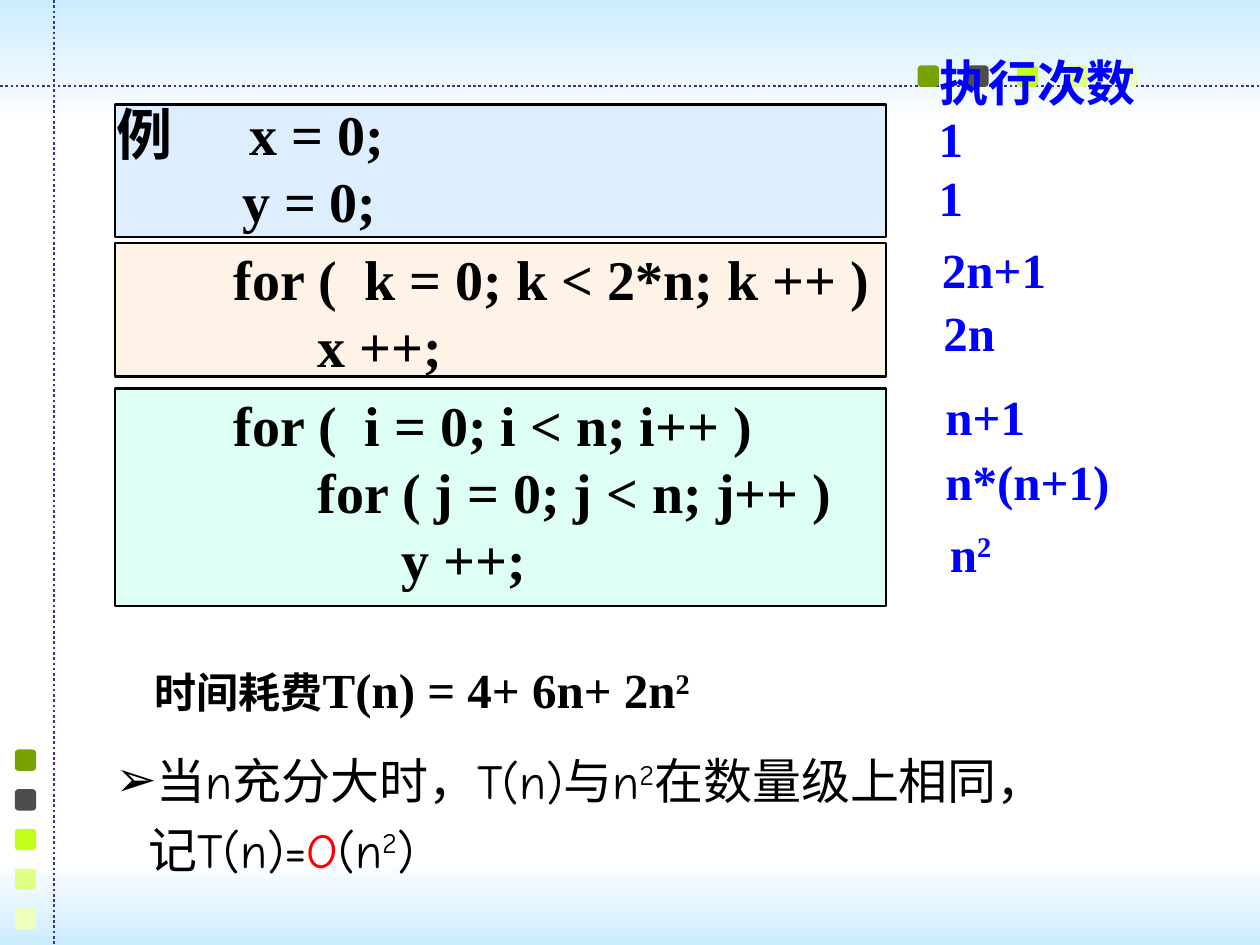
from lxml.etree import SubElement
from pptx import Presentation
from pptx.dml.color import RGBColor
from pptx.enum.dml import MSO_LINE
from pptx.enum.shapes import MSO_CONNECTOR, MSO_SHAPE
from pptx.enum.text import MSO_AUTO_SIZE, PP_ALIGN
from pptx.oxml.ns import qn
from pptx.util import Cm, Pt

WIDTH, HEIGHT = 25.4, 19.05
COLORS = {
    "sky": "CCECFF", "white": "FFFFFF", "guide": "333399", "black": "000000",
    "count": "0000FF", "order": "FF0000",
    "assign": "DDEEFF", "loop": "FFF3E7", "nested": "DDFFF6",
}
SQUARES = ["78A200", "4D4D4D", "C3FF1B", "E0FF87", "EEFFBD"]
CODE = {"size": Pt(32), "name": "Times New Roman", "bold": True, "color": "black"}
COUNT = CODE | {"size": Pt(28), "color": "count"}
COST = COUNT | {"color": "black"}
NOTE = {"size": Pt(28), "name": "Comic Neue", "bold": False, "color": "black"}
SQUARED = ("2", {"superscript": True})


def rgb(name):
    return RGBColor.from_string(COLORS.get(name, name))


def add_block(slide, kind, box, color):
    shape = slide.shapes.add_shape(kind, *map(Cm, box))
    shape.shadow.inherit = False
    shape.fill.solid()
    shape.fill.fore_color.rgb = rgb(color)
    shape.line.fill.background()
    return shape


def format_font(run, values):
    for key, value in values.items():
        if key == "color":
            run.font.color.rgb = rgb(value)
        elif key == "superscript":
            run._r.get_or_add_rPr().set("baseline", "30000")
        else:
            setattr(run.font, key, value)


def add_text(slide, box, paragraphs, style, wrap=False):
    """Each paragraph is a list of (text, changes to the style) pairs."""
    text_frame = slide.shapes.add_textbox(*map(Cm, box)).text_frame
    text_frame.word_wrap = wrap
    text_frame.auto_size = MSO_AUTO_SIZE.SHAPE_TO_FIT_TEXT
    for index, runs in enumerate(paragraphs):
        paragraph = text_frame.add_paragraph() if index else text_frame.paragraphs[0]
        paragraph.alignment = PP_ALIGN.LEFT
        for text, changes in runs:
            run = paragraph.add_run()
            run.text = text
            format_font(run, style | changes)
    return text_frame.paragraphs


def add_band(slide, box, top_color, bottom_color):
    shape = add_block(slide, MSO_SHAPE.RECTANGLE, box, "white")
    shape.fill.gradient()
    shape.fill.gradient_angle = 270
    for stop, color in zip(shape.fill.gradient_stops, (top_color, bottom_color)):
        stop.color.rgb = rgb(color)


def add_guide(slide, start, end):
    line = slide.shapes.add_connector(MSO_CONNECTOR.STRAIGHT, *map(Cm, start + end))
    line.line.color.rgb = rgb("guide")
    line.line.width = Pt(1.5)
    line.line.dash_style = MSO_LINE.ROUND_DOT
    SubElement(line._element.spPr, qn("a:effectLst"))


def add_squares(slide, left, top, step_x, step_y):
    for index, color in enumerate(SQUARES):
        box = (left + index * step_x, top + index * step_y, 0.43, 0.43)
        add_block(slide, MSO_SHAPE.ROUNDED_RECTANGLE, box, color)


def add_background(slide):
    add_band(slide, (0, 0, WIDTH, 2.51), "sky", "white")
    add_band(slide, (0, 17.32, WIDTH, 1.73), "white", "sky")
    add_guide(slide, (0, 1.73), (WIDTH, 1.73))
    add_squares(slide, 18.5, 1.32, 1, 0)
    add_squares(slide, 0.3, 15.11, 0, 0.8)
    add_guide(slide, (1.09, 0), (1.09, HEIGHT))


def add_code_panel(slide, box, color, lines, text_box):
    """text_box holds offsets from the panel's corner, then width and height."""
    left, top = box[:2]
    panel = add_block(slide, MSO_SHAPE.RECTANGLE, box, color)
    panel.line.color.rgb = rgb("black")
    panel.line.width = Pt(1.5)
    offset_x, offset_y, width, height = text_box
    return add_text(slide, (left + offset_x, top + offset_y, width, height),
                    [[(line, {})] for line in lines], CODE)


def add_code(slide, left, top):
    width = 15.54
    first, _ = add_code_panel(slide, (left, top, width, 2.67), "assign",
                              ["例\tx = 0;", "         y = 0;"],
                              (-0.23, -0.23, 15.32, 2.97))
    tabs = SubElement(first._p.get_or_add_pPr(), qn("a:tabLst"))
    SubElement(tabs, qn("a:tab"), pos=str(Cm(2.69)), algn="l")
    add_code_panel(slide, (left, top + 2.79, width, 2.69), "loop",
                   ["for (  k = 0; k < 2*n; k ++ )", "      x ++;"],
                   (2.14, -0.1, 13.6, 2.97))
    add_code_panel(slide, (left, top + 5.72, width, 4.39), "nested",
                   ["for (  i = 0; i < n; i++ )",
                    "      for ( j = 0; j < n; j++ )",
                    "            y ++;"],
                   (2.14, -0.09, 12.6, 4.32))


def add_counts(slide, left, top):
    one = [("1", {})]
    add_text(slide, (left, top + 1.16, 2.01, 2.62), [one, one], COUNT, wrap=True)
    counts = [
        (0.03, 0.02, 4.47, [("执行次数", {})]),
        (0.07, 3.79, 2.62, [("2n+1", {})]),
        (0.1, 5.06, 1.55, [("2n", {})]),
        (0.14, 6.76, 2.13, [("n+1", {})]),
        (0.14, 8.06, 3.84, [("n*(n+1)", {})]),
        (0.23, 9.52, 1.4, [("n", {}), SQUARED]),
    ]
    for offset_x, offset_y, width, runs in counts:
        add_text(slide, (left + offset_x, top + offset_y, width, 1.45), [runs], COUNT)


def add_conclusion(slide, left, top):
    add_text(slide, (left + 0.79, top, 11.63, 1.45),
             [[("时间耗费", {"size": Pt(24)}), ("T(n) = 4+ 6n+ 2n", {}), SQUARED]], COST)
    statement, notation = add_text(slide, (left, top + 1.83, 19.4, 2.87), [
        [("当n充分大时，T(n)与n", {}), SQUARED, ("在数量级上相同，", {})],
        [("记T(n)=", {}), ("O", {"color": "order"}), ("(n", {}), SQUARED, (")", {})],
    ], NOTE, wrap=True)
    properties = statement._p.get_or_add_pPr()
    properties.set("marL", str(Cm(0.61)))
    properties.set("indent", str(-Cm(0.61)))
    SubElement(properties, qn("a:buFont"), typeface=NOTE["name"])
    SubElement(properties, qn("a:buChar"), char="➢")
    notation._p.get_or_add_pPr().set("marL", str(Cm(0.67)))
    notation.space_before = Pt(5.6)


def main():
    presentation = Presentation()
    presentation.slide_width, presentation.slide_height = Cm(WIDTH), Cm(HEIGHT)
    slide = presentation.slides.add_slide(presentation.slide_layouts[6])
    add_background(slide)
    add_code(slide, 2.32, 2.11)
    add_counts(slide, 18.67, 0.91)
    add_conclusion(slide, 2.08, 13.18)
    presentation.save("out.pptx")


if __name__ == "__main__":
    main()
